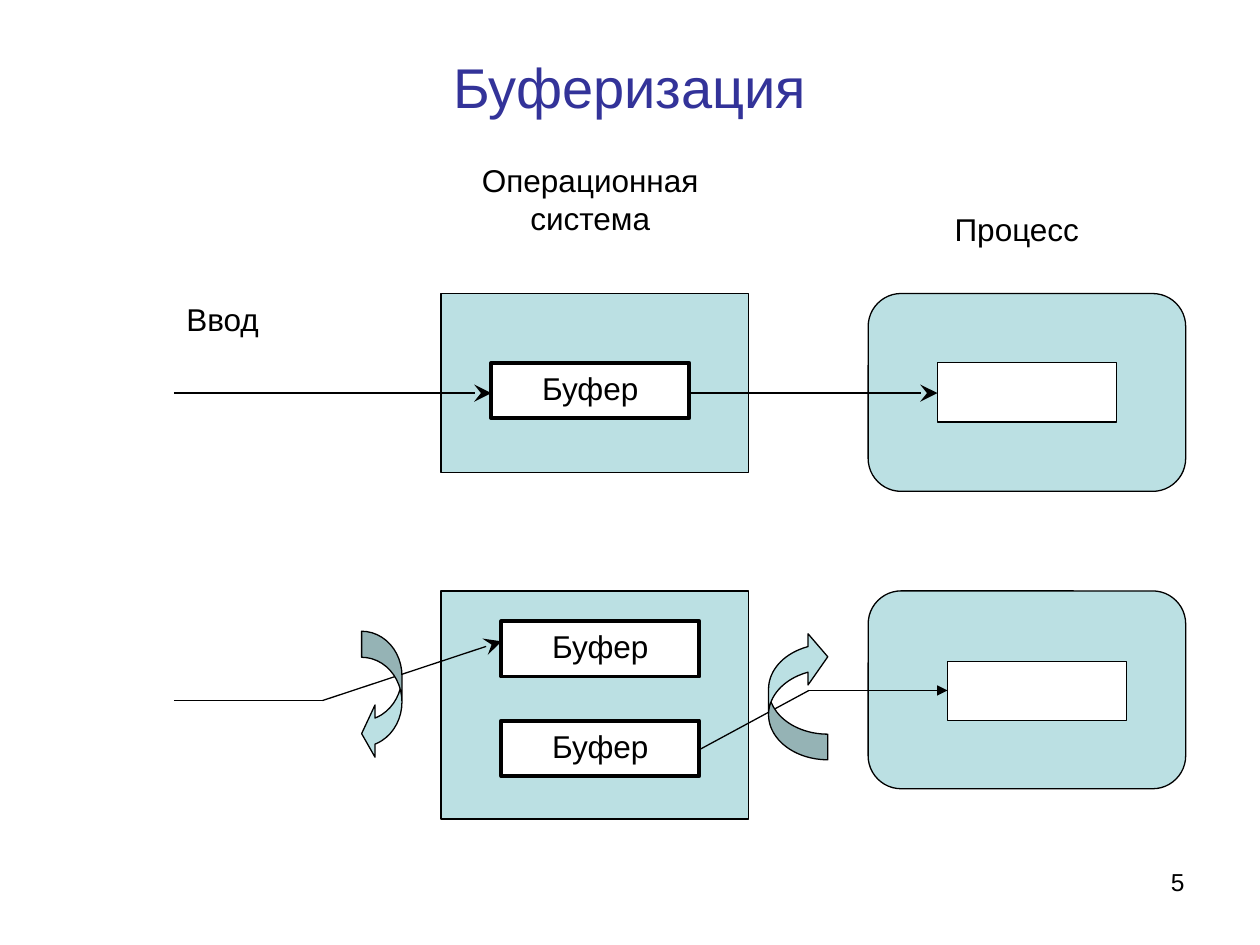
"""Build a slide comparing single and double input buffering."""
from dataclasses import dataclass
from typing import Optional

import pptx
import pptx.dml.color
import pptx.enum.shapes
import pptx.enum.text
import pptx.oxml.ns
import pptx.util
from lxml import etree

Inches = pptx.util.Inches
Pt = pptx.util.Pt
Kind = pptx.enum.shapes.MSO_SHAPE
Align = pptx.enum.text.PP_ALIGN
Anchor = pptx.enum.text.MSO_ANCHOR
qn = pptx.oxml.ns.qn

LEFT, RIGHT = 1, 3
BLACK, WHITE, AQUA, INDIGO = "000000", "FFFFFF", "BBE0E3", "333399"


@dataclass
class Label:
    text: str
    at: tuple
    size: float = 18
    color: str = BLACK
    align: Align = Align.CENTER
    anchor: Anchor = Anchor.TOP


@dataclass
class Box:
    key: str
    at: tuple
    kind: Kind = Kind.RECTANGLE
    fill: str = AQUA
    weight: float = 0.75
    text: str = ""
    adj: tuple = ()
    flip: bool = False


@dataclass
class Link:
    start: tuple
    end: tuple
    source: Optional[str] = None
    target: Optional[str] = None
    head: Optional[str] = None
    head_size: str = "med"


def frame(key: str, x: float, y: float) -> Box:
    return Box(key, (x, y, 1.42, 0.47), fill=WHITE)


def buffer(key: str, x: float, y: float) -> Box:
    return Box(key, (x, y, 1.57, 0.44), fill=WHITE, weight=2.25, text="Буфер")


def process(key: str, y: float) -> Box:
    return Box(key, (6.89, y, 2.52, 1.57), Kind.ROUNDED_RECTANGLE, adj=(0.167,))


LABELS = [
    Label("Буферизация", (0.5, 0.3, 9, 0.77), 32, INDIGO, anchor=Anchor.MIDDLE),
    Label("Операционная система", (3.66, 1.23, 2.05, 0.7)),
    Label("Процесс", (6.97, 1.62, 2.2, 0.4)),
    Label("Ввод", (1.38, 2.33, 1.02, 0.4), align=Align.LEFT),
    Label("5", (7.17, 6.83, 2.33, 0.52), 14, align=Align.RIGHT),
]

BOXES = [
    Box("system 1", (3.5, 2.33, 2.44, 1.42)),
    buffer("buffer", 3.9, 2.88),
    process("process 1", 2.33),
    frame("frame 1", 7.44, 2.88),
    Box("system 2", (3.5, 4.69, 2.44, 1.81)),
    buffer("upper buffer", 3.98, 4.93),
    buffer("lower buffer", 3.98, 5.72),
    process("process 2", 4.69),
    frame("frame 2", 7.52, 5.25),
]

LINKS = [
    Link((1.38, 3.12), (3.9, 3.12), target="buffer", head="stealth", head_size="lg"),
    Link((5.47, 3.12), (7.44, 3.12), "buffer", "frame 1", "stealth", "lg"),
    Link((1.38, 5.56), (2.56, 5.56)),
    Link((2.56, 5.56), (3.98, 5.09), head="stealth", head_size="lg"),
    Link((5.55, 5.95), (6.42, 5.48), source="lower buffer"),
    Link((6.42, 5.48), (7.52, 5.48), target="frame 2", head="triangle"),
]

SWAPS = [
    Box("input swap", (2.87, 5.01, 0.32, 1.02), Kind.CURVED_LEFT_ARROW,
        adj=(0.647, 1.295, 0.333)),
    Box("output swap", (6.1, 5.01, 0.47, 1.02), Kind.CURVED_RIGHT_ARROW,
        adj=(0.432, 0.864, 0.333), flip=True),
]


def rgb(color: str) -> pptx.dml.color.RGBColor:
    return pptx.dml.color.RGBColor.from_string(color)


def write(sp, text: str, size: float = 18, color: str = BLACK,
          align: Align = Align.CENTER, anchor: Anchor = Anchor.TOP) -> None:
    tf = sp.text_frame
    tf.word_wrap = True
    tf.vertical_anchor = anchor
    p = tf.paragraphs[0]
    p.text = text
    p.alignment = align
    p.font.name = "Arial"
    p.font.size = Pt(size)
    p.font.color.rgb = rgb(color)


def draw_label(s, label: Label) -> None:
    sp = s.shapes.add_textbox(*map(Inches, label.at))
    write(sp, label.text, label.size, label.color, label.align, label.anchor)


def draw_box(s, box: Box):
    sp = s.shapes.add_shape(box.kind, *map(Inches, box.at))
    sp.shadow.inherit = False
    sp.fill.solid()
    sp.fill.fore_color.rgb = rgb(box.fill)
    sp.line.color.rgb = rgb(BLACK)
    sp.line.width = Pt(box.weight)
    for i, value in enumerate(box.adj):
        sp.adjustments[i] = value
    if box.flip:
        sp._element.spPr.find(qn("a:xfrm")).set("flipV", "1")
    if box.text:
        write(sp, box.text)
    return sp


def draw_link(s, link: Link, boxes: dict) -> None:
    line = s.shapes.add_connector(pptx.enum.shapes.MSO_CONNECTOR.STRAIGHT,
                                  *map(Inches, link.start + link.end))
    if link.source:
        line.begin_connect(boxes[link.source], RIGHT)
    if link.target:
        line.end_connect(boxes[link.target], LEFT)
    line.begin_y, line.end_y = Inches(link.start[1]), Inches(link.end[1])
    line.line.color.rgb = rgb(BLACK)
    line.line.width = Pt(0.75)
    if link.head:
        etree.SubElement(line.line._get_or_add_ln(), qn("a:tailEnd"),
                         type=link.head, w=link.head_size, len=link.head_size)
    etree.SubElement(line._element.spPr, qn("a:effectLst"))


def main() -> None:
    prs = pptx.Presentation()
    prs.slide_width, prs.slide_height = Inches(10), Inches(7.5)
    s = prs.slides.add_slide(prs.slide_layouts[6])
    for label in LABELS:
        draw_label(s, label)
    boxes = {box.key: draw_box(s, box) for box in BOXES}
    for link in LINKS:
        draw_link(s, link, boxes)
    for swap in SWAPS:
        draw_box(s, swap)
    prs.save("out.pptx")


if __name__ == "__main__":
    main()
